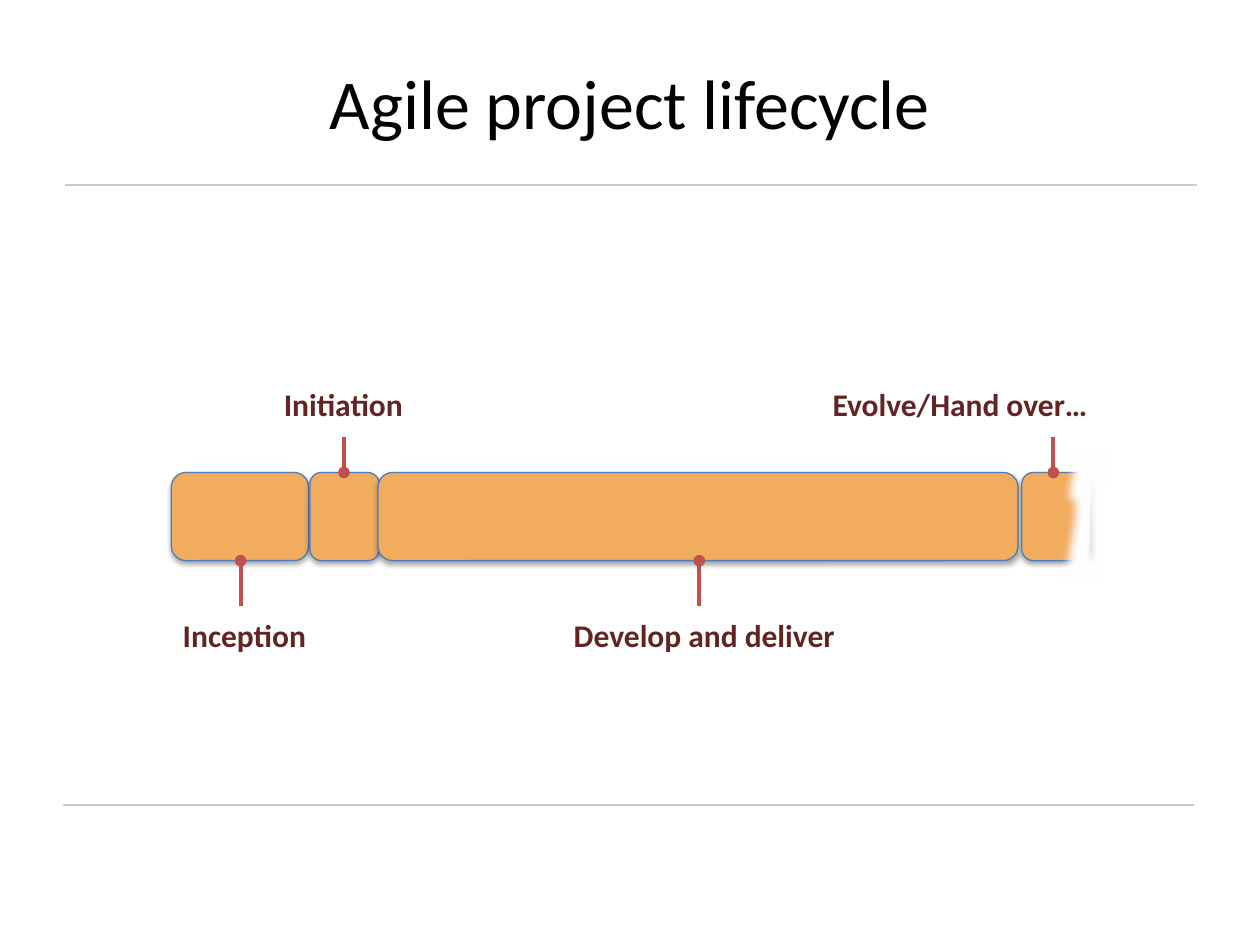
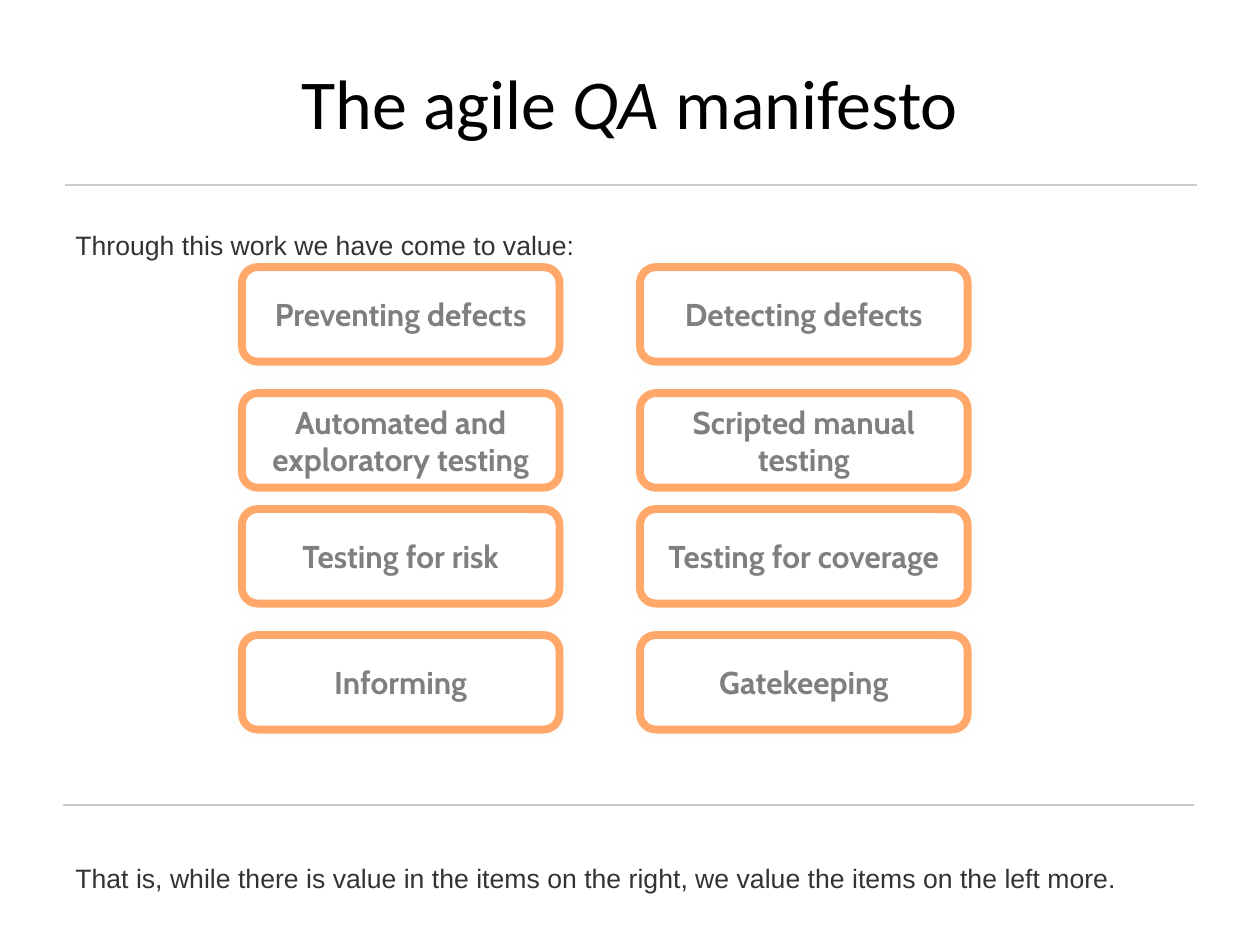
from dataclasses import dataclass

from lxml.etree import SubElement
from pptx import Presentation
from pptx.dml.color import RGBColor
from pptx.enum.shapes import MSO_CONNECTOR as Link, MSO_SHAPE as Kind
from pptx.enum.text import MSO_ANCHOR as Anchor, PP_ALIGN as Align
from pptx.oxml.ns import qn
from pptx.util import Inches, Pt


@dataclass(frozen=True)
class Theme:
    black: str = "000000"
    white: str = "FFFFFF"
    body: str = "333333"
    rule: str = "CCCCCC"
    bar: str = "F1AC5E"
    edge: str = "4B7EBC"
    pin: str = "C0504D"
    label: str = "632523"
    frame: str = "FFA86A"
    card: str = "7F7F7F"
    glow: str = "EEECE1"
    title_size: float = 40
    label_size: float = 18
    body_size: float = 15.2


def write(frame, text, font="Calibri", size=18, color="000000", bold=False,
          align=Align.CENTER, anchor=Anchor.TOP, wrap=True, inset=None):
    """Fill a text frame; parts between asterisks are italic."""
    frame.word_wrap = wrap
    frame.vertical_anchor = anchor
    if inset is not None:
        frame.margin_left = frame.margin_right = Inches(inset)
        frame.margin_top = frame.margin_bottom = Inches(inset)
    para = frame.paragraphs[0]
    para.alignment = align
    for i, part in enumerate(text.split("*")):
        run = para.add_run()
        run.text = part
        face = run.font
        face.name, face.size, face.bold = font, Pt(size), bold
        face.italic = i % 2 == 1
        face.color.rgb = RGBColor.from_string(color)


def curve(start, one, two, end, steps=12):
    """Points along a cubic Bezier curve, without its start."""
    for i in range(1, steps + 1):
        t = i / steps
        u = 1 - t
        yield tuple(u**3 * a + 3 * u * u * t * b + 3 * u * t * t * c + t**3 * d
                    for a, b, c, d in zip(start, one, two, end))


class Deck:
    def __init__(self, theme):
        self.theme = theme
        self.file = Presentation()
        self.file.slide_width, self.file.slide_height = Inches(10), Inches(7.5)
        self.slide = None

    def start(self, title):
        """Add a slide with its title and the two shared rules."""
        look = self.theme
        self.slide = self.file.slides.add_slide(self.file.slide_layouts[6])
        self.line((0.5, 6.39), (9.48, 6.39), look.rule, 1)
        self.line((0.52, 1.47), (9.5, 1.47), look.rule, 1)
        self.text((0.5, 0.3, 9, 1.01), title, size=look.title_size,
                  color=look.black, anchor=Anchor.MIDDLE)

    def text(self, place, text, **style):
        box = self.slide.shapes.add_textbox(*map(Inches, place))
        write(box.text_frame, text, **style)

    def line(self, start, end, color, width, dot=False):
        link = self.slide.shapes.add_connector(
            Link.STRAIGHT, *map(Inches, start + end))
        link.line.color.rgb = RGBColor.from_string(color)
        link.line.width = Pt(width)
        props = link._element.spPr
        if dot:
            SubElement(props.find(qn("a:ln")), qn("a:tailEnd"), type="oval")
        SubElement(props, qn("a:effectLst"))

    def box(self, place, fill, edge, width, shade, alpha, blur, drop):
        """Rounded box with a soft shadow; returns it."""
        box = self.slide.shapes.add_shape(
            Kind.ROUNDED_RECTANGLE, *map(Inches, place))
        box.fill.solid()
        box.fill.fore_color.rgb = RGBColor.from_string(fill)
        box.line.color.rgb = RGBColor.from_string(edge)
        box.line.width = Pt(width)
        cast = SubElement(self.effects(box), qn("a:outerShdw"),
                          blurRad=str(Pt(blur)), dist=str(Pt(drop)),
                          dir="5400000", rotWithShape="0")
        tint = SubElement(cast, qn("a:srgbClr"), val=shade)
        SubElement(tint, qn("a:alpha"), val=str(alpha * 1000))
        return box

    def effects(self, shape):
        shape.shadow.inherit = False
        return shape._element.spPr.find(qn("a:effectLst"))

    def bar(self, left, width):
        look = self.theme
        self.box((left, 3.75, width, 0.7), look.bar, look.edge, 0.75,
                 look.black, 35, 3.1, 1.8)

    def pin(self, x, above):
        start, end = (3.47, 3.75) if above else (4.81, 4.45)
        self.line((x, start), (x, end), self.theme.pin, 2.25, dot=True)

    def label(self, left, width, text, above):
        look = self.theme
        self.text((left, 3.01 if above else 4.84, width, 0.4), text, bold=True,
                  size=look.label_size, color=look.label, wrap=False)

    def tear(self):
        """White soft-edged patch that tears off the end of the last bar."""
        top, notch, low = (8.48, 3.56), (8.4, 4.08), (8.75, 4.64)
        dots = [*curve(top, (8.45, 3.74), (8.4, 3.9), notch),
                (8.47, 4.03), (8.38, 4.63), low,
                *curve(low, (8.74, 3.53), (8.93, 3.54), (8.73, 3.54))]
        pen = self.slide.shapes.build_freeform(*map(Inches, top))
        pen.add_line_segments([tuple(map(Inches, dot)) for dot in dots])
        patch = pen.convert_to_shape()
        patch.fill.solid()
        patch.fill.fore_color.rgb = RGBColor.from_string(self.theme.white)
        patch.line.fill.background()
        SubElement(self.effects(patch), qn("a:softEdge"), rad=str(Pt(5)))

    def card(self, place, text):
        look = self.theme
        box = self.box(place, look.white, look.frame, 4.5,
                       look.glow, 20, 6, 0)
        write(box.text_frame, text, font="Cabin", size=look.label_size,
              color=look.card, bold=True, anchor=Anchor.MIDDLE, inset=0.04)

    def note(self, top, text):
        look = self.theme
        self.text((0.5, top, 9, 0.36), text, font="Arial",
                  size=look.body_size, color=look.body, align=Align.LEFT)


def cycle(deck):
    deck.start("Agile project lifecycle")
    for left, width in ((1.36, 1.09), (2.46, 0.55), (3, 5.08), (8.11, 0.55)):
        deck.bar(left, width)
    deck.tear()
    stages = (
        ("Inception", 1.28, 1.32, 1.91, False),
        ("Initiation", 2.1, 1.25, 2.73, True),
        ("Develop and deliver", 4.44, 2.3, 5.55, False),
        ("Evolve/Hand over…", 6.49, 2.26, 8.36, True),
    )
    for name, left, width, x, above in stages:
        deck.label(left, width, name, above)
        deck.pin(x, above)


def values(deck):
    deck.start("The agile *QA* manifesto")
    deck.note(1.77, "Through this work we have come to value:")
    rows = (
        (2.12, "Preventing defects", "Detecting defects"),
        (3.12, "Automated and exploratory testing", "Scripted manual testing"),
        (4.04, "Testing for risk", "Testing for coverage"),
        (5.04, "Informing", "Gatekeeping"),
    )
    for top, more, less in rows:
        deck.card((1.92, top, 2.52, 0.75), more)
        deck.card((5.08, top, 2.6, 0.75), less)
    deck.note(6.79, "That is, while there is value in the items on the right, "
                    "we value the items on the left more.")


def main():
    deck = Deck(Theme())
    cycle(deck)
    values(deck)
    deck.file.save("out.pptx")


if __name__ == "__main__":
    main()
